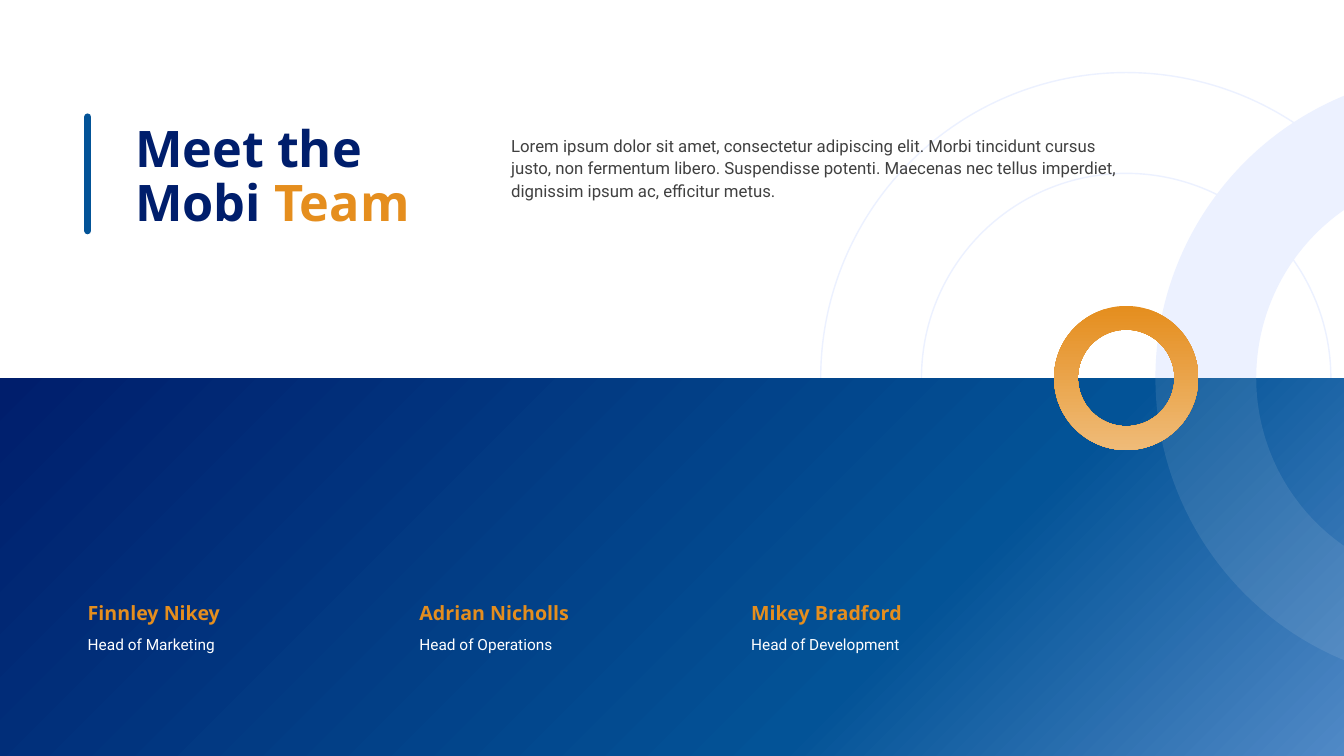
from math import cos, sin, tan, acos
from lxml import etree
from pptx import Presentation
from pptx.dml.color import RGBColor
from pptx.enum import shapes as es, text as et
from pptx.oxml import ns
from pptx.util import Inches, Pt

NAVY, BLUE, SKY = "001E6C", "035397", "5089C6"
GOLD, SAND, PALE = "E58E1E", "EFBB78", "ECF1FF"
GREY, WHITE, MIST = "404040", "FFFFFF", "F2F2F2"
WIDE, TALL, MID = 13.33, 7.5, 3.75
TEAM = [
    ("Finnley Nikey", "Head of Marketing"),
    ("Adrian Nicholls", "Head of Operations"),
    ("Mikey Bradford", "Head of Development"),
]


def paint(color, value):
    color.rgb = RGBColor.from_string(value)


def fill(shape, value):
    shape.shadow.inherit = False
    shape.line.fill.background()
    shape.fill.solid()
    paint(shape.fill.fore_color, value)


def blend(shape, stops, angle):
    fill(shape, stops[0][1])
    props = shape._element.spPr
    old = props.find(ns.qn("a:solidFill"))
    grad = etree.Element(ns.qn("a:gradFill"), rotWithShape="1")
    items = etree.SubElement(grad, ns.qn("a:gsLst"))
    for place, value in stops:
        stop = etree.SubElement(items, ns.qn("a:gs"), pos=str(place * 1000))
        etree.SubElement(stop, ns.qn("a:srgbClr"), val=value)
    etree.SubElement(grad, ns.qn("a:lin"), ang=str(angle * 60000), scaled="0")
    props.replace(old, grad)


def fade(shape, percent):
    color = shape._element.spPr.find(ns.qn("a:solidFill"))[0]
    etree.SubElement(color, ns.qn("a:alpha"), val=str(percent * 1000))


def preset(slide, kind, left, top, width, height):
    box = [Inches(n) for n in (left, top, width, height)]
    return slide.shapes.add_shape(kind, *box)


def donut(slide, size):
    ring = preset(slide, es.MSO_SHAPE.DONUT, 11.17 - size / 2,
                  MID - size / 2, size, size)
    ring.adjustments[0] = 0.165
    return ring


def hoops(slide):
    rings = donut(slide, 6.06)
    rings.shadow.inherit = False
    rings.fill.background()
    paint(rings.line.color, PALE)
    rings.line.width = Pt(1)


def arc(radius, whole):
    hub = 14.49
    gap = acos((hub - WIDE) / radius)
    pull = 4 / 3 * tan(gap / 4)

    def spot(turn, lean=0):
        x = cos(turn) - lean * sin(turn)
        y = sin(turn) + lean * cos(turn)
        return Inches(hub - radius * x), Inches(MID + radius * y)

    turns = [-gap, 0, gap] if whole else [0, gap]
    dots = [spot(turns[0])]
    for a, b in zip(turns, turns[1:]):
        dots += [spot(a, pull), spot(b, -pull), spot(b)]
    return dots


def bend(steps):
    curve = etree.Element(ns.qn("a:cubicBezTo"))
    steps[0].addprevious(curve)
    for step in steps:
        curve.append(step[0])
        step.getparent().remove(step)


def band(slide, whole, value):
    outer, inner = arc(3.03, whole), arc(2.03, whole)[::-1]
    pen = slide.shapes.build_freeform(*outer[0])
    pen.add_line_segments(outer[1:] + inner, close=True)
    shape = pen.convert_to_shape()
    steps = list(shape._element.iter(ns.qn("a:lnTo")))
    count = len(outer) - 1
    for start in range(0, count, 3):
        bend(steps[start:start + 3])
        bend(steps[count + 1 + start:count + 4 + start])
    fill(shape, value)
    return shape


def bar(slide):
    ends = [Inches(n) for n in (0.87, 1.16, 0.87, 2.29)]
    line = slide.shapes.add_connector(es.MSO_CONNECTOR.STRAIGHT, *ends)
    paint(line.line.color, BLUE)
    line.line.width = Pt(5)
    line.line._get_or_add_ln().set("cap", "rnd")
    etree.SubElement(line._element.spPr, ns.qn("a:effectLst"))


def frame(shape, anchor, wrap=True):
    body = shape.text_frame
    body.margin_left = body.margin_right = 0
    body.margin_top = body.margin_bottom = 0
    body.auto_size = et.MSO_AUTO_SIZE.NONE
    body.vertical_anchor = anchor
    body.word_wrap = wrap
    return body


def style(run, face, size, value, bold=False):
    run.font.name = face
    run.font.size = Pt(size)
    run.font.bold = bold
    paint(run.font.color, value)


def label(slide, words, place, look, space=1.0, anchor=et.MSO_ANCHOR.TOP):
    shape = slide.shapes.add_textbox(*[Inches(n) for n in place])
    body = frame(shape, anchor)
    body.text = words
    para = body.paragraphs[0]
    para.line_spacing = space
    style(para.runs[0], *look)


def heading(slide):
    title = slide.shapes.title
    title.left, title.top = Inches(1.34), Inches(1.22)
    title.width, title.height = Inches(3.44), Inches(1.1)
    body = frame(title, et.MSO_ANCHOR.MIDDLE, False)
    body.text = "Meet the\nMobi "
    body.paragraphs[1].add_run().text = "Team"
    for para in body.paragraphs:
        para.alignment = et.PP_ALIGN.LEFT
        para.line_spacing = 0.9
        para.space_before = Pt(0)
        for run in para.runs:
            style(run, "Open Sans", 36, GOLD if run.text == "Team" else NAVY, True)


def member(slide, left, name, role):
    label(slide, role, (left, 6.28, 2.79, 0.23), ("Roboto", 11, WHITE), 1.1)
    label(slide, name, (left, 5.94, 2.79, 0.25), ("Open Sans", 14, GOLD, True),
          anchor=et.MSO_ANCHOR.BOTTOM)


def main():
    deck = Presentation()
    deck.slide_width, deck.slide_height = Inches(WIDE), Inches(TALL)
    slide = deck.slides.add_slide(deck.slide_layouts[5])
    hoops(slide)
    band(slide, True, PALE)
    base = preset(slide, es.MSO_SHAPE.RECTANGLE, 0, MID, WIDE, MID)
    blend(base, [(0, NAVY), (67, BLUE), (100, SKY)], 45)
    fade(band(slide, False, MIST), 10)
    heading(slide)
    bar(slide)
    label(slide, "Lorem ipsum dolor sit amet, consectetur adipiscing elit. "
          "Morbi tincidunt cursus justo, non fermentum libero. Suspendisse "
          "potenti. Maecenas nec tellus imperdiet, dignissim ipsum ac, "
          "efficitur metus.", (5.07, 1.33, 6.07, 0.89), ("Roboto", 12, GREY), 1.1)
    for i, (name, role) in enumerate(TEAM):
        member(slide, 0.87 + 3.29 * i, name, role)
    blend(donut(slide, 1.43), [(0, GOLD), (100, SAND)], 90)
    deck.save("out.pptx")


if __name__ == "__main__":
    main()
